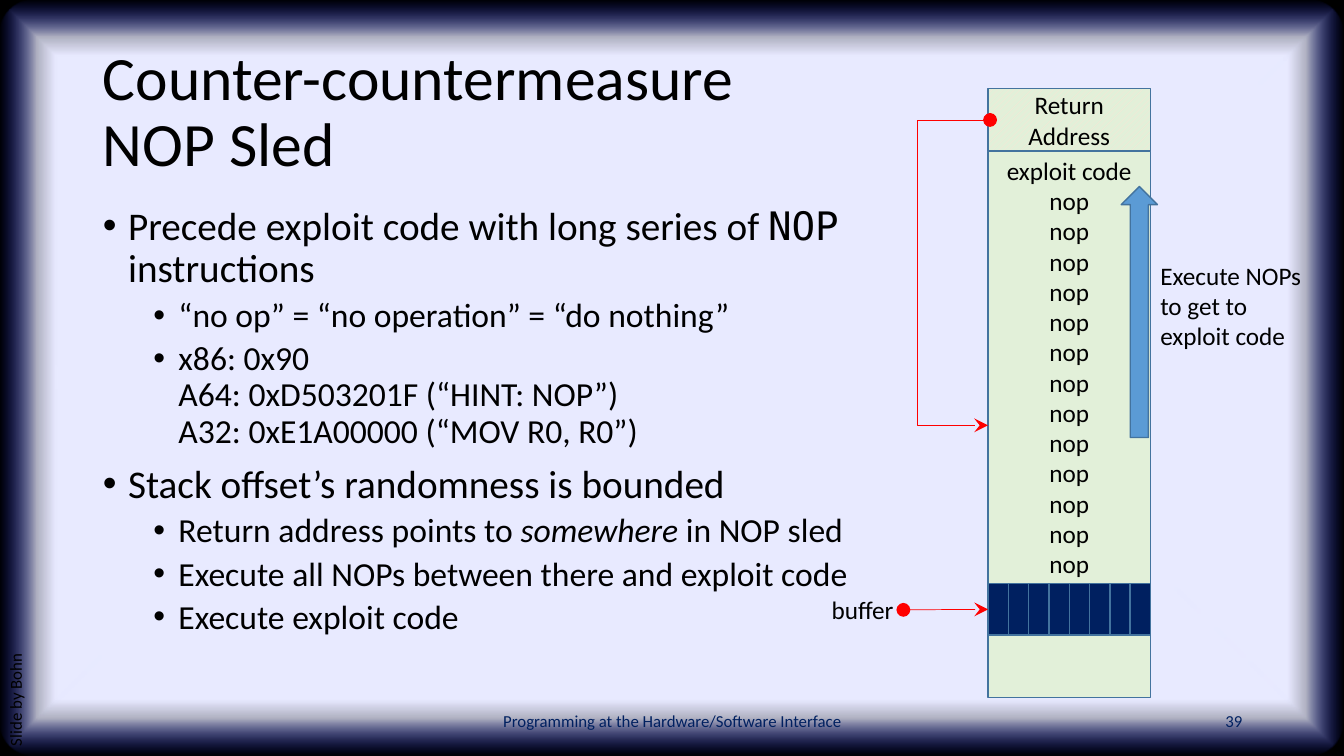
"""Build the NOP sled slide with its stack diagram."""
from dataclasses import dataclass

from lxml import etree
from pptx import Presentation
from pptx import util as u
from pptx.dml import color, fill
from pptx.enum import dml, shapes, text
from pptx.oxml import ns

In = u.Inches
Al = text.PP_ALIGN
Anchor = text.MSO_ANCHOR
Kind = shapes.MSO_SHAPE


@dataclass(frozen=True)
class Theme:
    """Colours, fonts and type sizes."""
    font: str = "Calibri"
    mono: str = "DejaVu Sans Mono"
    ink: str = "000000"
    paper: str = "E8EAFF"
    glow: str = "162AFF"
    navy: str = "002060"
    green: str = "E2F0D9"
    peach: str = "FBE5D6"
    edge: str = "43739E"
    blue: str = "5B9BD5"
    red: str = "FF0000"
    title: int = 44
    point: int = 28
    detail: int = 24
    label: int = 18
    small: int = 12


T = Theme()


@dataclass(frozen=True)
class Box:
    """A rectangle in inches."""
    x: float
    y: float
    w: float
    h: float

    def emu(self) -> list:
        """Return the rectangle as lengths."""
        return [In(v) for v in (self.x, self.y, self.w, self.h)]


@dataclass(frozen=True)
class Span:
    """A piece of text with its own style."""
    text: str
    mono: bool = False
    italic: bool = False


@dataclass(frozen=True)
class Bullet:
    """A list item at a level."""
    level: int
    spans: tuple


@dataclass(frozen=True)
class Label:
    """A free text box."""
    text: str
    box: Box
    size: int = T.label
    ink: str = T.ink
    align: int = Al.LEFT
    anchor: int = Anchor.MIDDLE
    rotation: int = 0


STACK = Box(9.8, 1.5, 1.61, 5.42)
CELLS = 8
NOPS = 13
BULLETS = (
    Bullet(0, (Span("Precede exploit code with long series of "), Span("NOP", mono=True), Span(" instructions"))),
    Bullet(1, (Span("“no op” = “no operation” = “do nothing”"),)),
    Bullet(1, (Span("x86: 0x90\nA64: 0xD503201F (“HINT: NOP”)\nA32: 0xE1A00000 (“MOV R0, R0”)"),)),
    Bullet(0, (Span("Stack offset’s randomness is bounded"),)),
    Bullet(1, (Span("Return address points to "), Span("somewhere", italic=True), Span(" in NOP sled"))),
    Bullet(1, (Span("Execute all NOPs between there and exploit code"),)),
    Bullet(1, (Span("Execute exploit code"),)),
)
BUFFER = Label("buffer", Box(7.42, 5.85, 1.54, 0.4), align=Al.RIGHT)
LABELS = (
    Label("Programming at the Hardware/Software Interface", Box(4.42, 6.95, 4.5, 0.4), T.small, T.navy, Al.CENTER),
    Label("39", Box(9.42, 6.95, 3, 0.4), T.small, T.navy, Al.RIGHT),
    Label("Slide by Bohn", Box(-2.44, 4.66, 5.28, 0.4), T.small, anchor=Anchor.TOP, rotation=270),
    Label("Execute NOPs\nto get to\nexploit code", Box(11.41, 2.53, 1.61, 1.01), anchor=Anchor.TOP),
)


def rgb(value: str) -> color.RGBColor:
    """Turn a hex string into a colour."""
    return color.RGBColor.from_string(value)


def add_xml(parent, tag: str, **attrs: str):
    """Append a drawing element and return it."""
    return etree.SubElement(parent, ns.qn(tag), attrs)


def add_text(p, span: Span, size: int, ink: str = T.ink) -> None:
    """Add a span as runs parted by line breaks."""
    for i, line in enumerate(span.text.split("\n")):
        if i:
            p.add_line_break()
        r = p.add_run()
        r.text = line
        r.font.name = T.mono if span.mono else T.font
        r.font.size = u.Pt(size)
        r.font.color.rgb = rgb(ink)
        if span.italic:
            r.font.italic = True


def add_lines(tf, lines: list, size: int, ink: str, align: int) -> None:
    """Fill a frame with one paragraph per line."""
    for i, line in enumerate(lines):
        p = tf.add_paragraph() if i else tf.paragraphs[0]
        p.alignment = align
        add_text(p, Span(line), size, ink)


def add_label(s, label: Label):
    """Draw a text box."""
    sp = s.shapes.add_textbox(*label.box.emu())
    sp.rotation = label.rotation
    tf = sp.text_frame
    tf.word_wrap = True
    tf.vertical_anchor = label.anchor
    add_lines(tf, [label.text], label.size, label.ink, label.align)
    return sp


def add_block(s, kind: int, box: Box, paint: str, edge: str = ""):
    """Draw a filled preset shape."""
    sp = s.shapes.add_shape(kind, *box.emu())
    sp.shadow.inherit = False
    sp.fill.solid()
    sp.fill.fore_color.rgb = rgb(paint)
    if edge:
        sp.line.color.rgb = rgb(edge)
        sp.line.width = u.Pt(1)
    else:
        sp.line.fill.background()
    return sp


def add_pointer(s, kind: int, x1: float, y1: float, x2: float, y2: float):
    """Draw a red connector from a dot to an arrowhead."""
    cx = s.shapes.add_connector(kind, In(x1), In(y1), In(x2), In(y2))
    cx.line.color.rgb = rgb(T.red)
    cx.line.width = u.Pt(0.5)
    ln = cx.line._get_or_add_ln()
    add_xml(ln, "a:headEnd", type="oval", w="lg", len="lg")
    add_xml(ln, "a:tailEnd", type="stealth", w="lg", len="lg")
    add_xml(cx._element.spPr, "a:effectLst")
    return cx


def draw_background(s) -> None:
    """Draw the glowing panel on black."""
    page = Box(0, 0, 13.33, 7.5)
    add_block(s, Kind.RECTANGLE, page, T.ink)
    sp = add_block(s, Kind.ROUNDED_RECTANGLE, page, T.paper)
    sp.adjustments[0] = 0.048
    grad = etree.Element(ns.qn("a:gradFill"), rotWithShape="1")
    stops = add_xml(grad, "a:gsLst")
    for pos, paint, alpha in ((85, T.paper, 100), (90, T.paper, 75), (100, T.glow, 0)):
        gs = add_xml(stops, "a:gs", pos=str(pos * 1000))
        add_xml(add_xml(gs, "a:srgbClr", val=paint), "a:alpha", val=str(alpha * 1000))
    way = add_xml(grad, "a:path", **{"path": "shape"})
    add_xml(way, "a:fillToRect", l="50000", t="50000", r="50000", b="50000")
    solid = sp._element.spPr.find(ns.qn("a:solidFill"))
    solid.getparent().replace(solid, grad)


def place(sp, box: Box, anchor: int):
    """Move a placeholder and return its frame."""
    sp.left, sp.top, sp.width, sp.height = box.emu()
    tf = sp.text_frame
    tf.word_wrap = True
    tf.auto_size = text.MSO_AUTO_SIZE.NONE
    tf.vertical_anchor = anchor
    return tf


def write_content(s) -> None:
    """Fill the title and the bullet list."""
    p = place(s.shapes.title, Box(0.92, 0.4, 11.5, 1.45), Anchor.MIDDLE).paragraphs[0]
    p.alignment, p.line_spacing = Al.LEFT, 0.9
    add_text(p, Span("Counter-countermeasure\nNOP Sled"), T.title)
    tf = place(s.placeholders[1], Box(0.92, 2, 7.69, 4.76), Anchor.TOP)
    for i, item in enumerate(BULLETS):
        p = tf.add_paragraph() if i else tf.paragraphs[0]
        p.level, p.line_spacing = item.level, 0.9
        p.space_before = u.Pt((5 if item.level else 10) if i else 0)
        pr = p._p.get_or_add_pPr()
        pr.set("marL", str(In(0.25 + 0.5 * item.level)))
        pr.set("indent", str(In(-0.25)))
        add_xml(pr, "a:buFont", typeface="Arial")
        add_xml(pr, "a:buChar", char="•")
        for span in item.spans:
            add_text(p, span, T.detail if item.level else T.point)


def draw_stack(s) -> None:
    """Draw the stack, its buffer and the pointers."""
    ret = add_block(s, Kind.RECTANGLE, Box(STACK.x, 0.88, STACK.w, 0.62), T.green, T.edge)
    ret.fill.patterned()
    ret.fill.pattern = dml.MSO_PATTERN.WIDE_UPWARD_DIAGONAL
    ret.fill.fore_color.rgb, ret.fill.back_color.rgb = rgb(T.peach), rgb(T.green)
    add_lines(ret.text_frame, ["Return Address"], T.label, T.ink, Al.CENTER)
    sled = add_block(s, Kind.RECTANGLE, STACK, T.green, T.edge)
    sled.text_frame.vertical_anchor = Anchor.TOP
    sled.text_frame.margin_top = In(0.04)
    add_lines(sled.text_frame, ["exploit code"] + ["nop"] * NOPS, T.label, T.ink, Al.CENTER)
    w = STACK.w / CELLS
    cells = [add_block(s, Kind.RECTANGLE, Box(STACK.x + i * w, 5.79, w, 0.51), T.navy, T.edge) for i in range(CELLS)]
    buffer = add_label(s, BUFFER)
    cx = add_pointer(s, shapes.MSO_CONNECTOR.STRAIGHT, 8.96, 6.05, STACK.x, 6.05)
    cx.begin_connect(buffer, 3)
    cx.end_connect(cells[0], 1)
    jump = add_pointer(s, shapes.MSO_CONNECTOR.ELBOW, 9.82, 1.19, STACK.x, 4.22)
    guides = jump._element.spPr.find(ns.qn("a:prstGeom")).get_or_add_avLst()
    add_xml(guides, "a:gd", name="adj1", fmla="val 3600000")
    add_block(s, Kind.UP_ARROW, Box(11.12, 1.85, 0.36, 2.49), T.blue, T.edge)


def main() -> None:
    """Build and save the slide."""
    prs = Presentation()
    prs.slide_width, prs.slide_height = In(13.33), In(7.5)
    s = prs.slides.add_slide(prs.slide_layouts[1])
    draw_background(s)
    for sp in list(s.placeholders):
        s.shapes._spTree.append(sp._element)
    write_content(s)
    draw_stack(s)
    for label in LABELS:
        add_label(s, label)
    prs.save("out.pptx")


if __name__ == "__main__":
    main()
